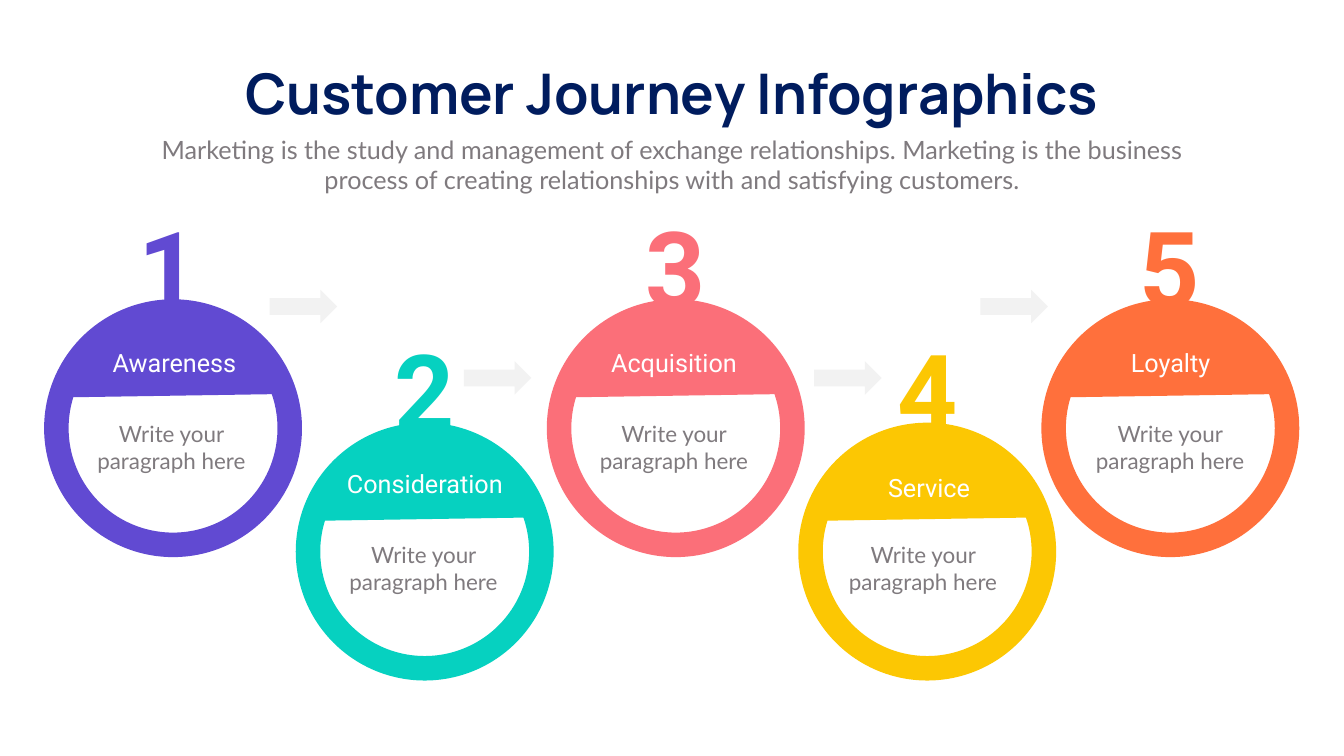
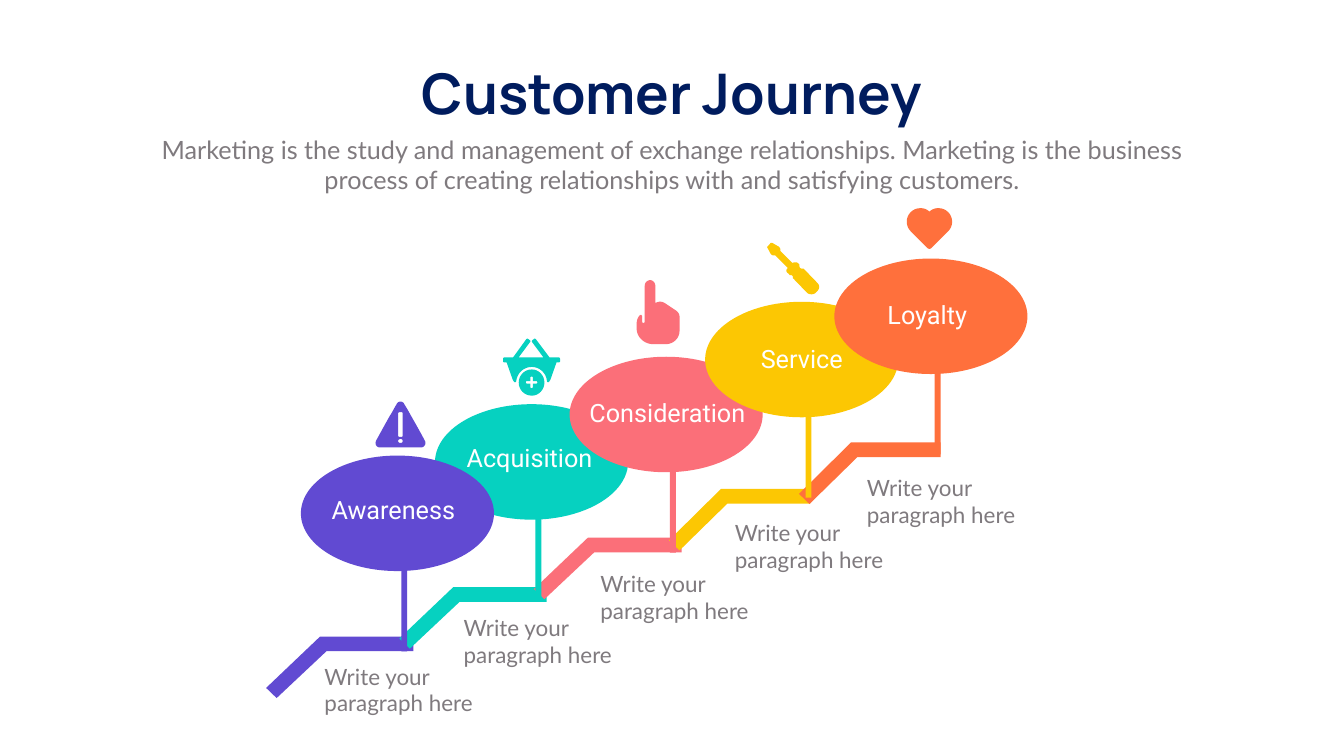
from dataclasses import dataclass
from itertools import chain

from pptx import Presentation
from pptx.dml.color import RGBColor
from pptx.enum.shapes import MSO_SHAPE
from pptx.enum.text import MSO_AUTO_SIZE, PP_ALIGN
from pptx.shapes.autoshape import Shape
from pptx.slide import Slide
from pptx.util import Cm, Pt

HUES = {
    "navy": "001C5E",
    "gray": "7F7A7E",
    "white": "FFFFFF",
    "pale": "F2F2F2",
    "violet": "614AD2",
    "teal": "06D1C0",
    "pink": "FB6F79",
    "yellow": "FCC703",
    "orange": "FF703C",
}
WIDTH, HEIGHT = 67.72, 38.1
LEAD = (
    "Marketing is the study and management of exchange relationships. "
    "Marketing is the business process of creating relationships with "
    "and satisfying customers."
)
NOTE = "Write your paragraph here"

Spot = tuple[float, float]


@dataclass
class Style:
    font: str
    size: int
    bold: bool = False
    align: PP_ALIGN = PP_ALIGN.CENTER


TITLE = Style("Manrope", 80, True)
DIGIT = Style("Roboto", 150, True)
LABEL = Style("Roboto", 36)
INTRO = Style("Lato", 36)
BODY = Style("Lato", 32)
ASIDE = Style("Lato", 32, align=PP_ALIGN.LEFT)


@dataclass
class Stage:
    name: str
    hue: str
    ring: Spot
    digit: float
    label: Spot
    span: float
    note: Spot


@dataclass
class Stop:
    name: str
    hue: str
    step: Spot
    width: float
    bend: float
    oval: Spot
    note: Spot
    label: Spot
    span: float
    icon: Spot
    art: tuple[str, ...]


STAGES = [
    Stage("Awareness", "violet", (2.84, 15.7), 6.65, (4.65, 17.37), 8.28, (4.65, 21.03)),
    Stage("Consideration", "teal", (15.52, 21.92), 19.56, (16.84, 23.5), 9.14, (17.35, 27.13)),
    Stage("Acquisition", "pink", (28.17, 15.7), 32.21, (29.39, 17.37), 9.14, (29.97, 21.03)),
    Stage("Service", "yellow", (40.84, 21.92), 44.88, (42.24, 23.7), 9.14, (42.52, 27.13)),
    Stage("Loyalty", "orange", (53.09, 15.7), 57.12, (54.41, 17.37), 9.14, (54.97, 21.03)),
]
ARROWS = [(13.59, 14.61), (23.37, 18.21), (41.02, 18.21), (49.4, 14.61)]

ALERT = (
    "98 78, 91 64 80 45 71 29, 66 20 61 11 57 5, 56 2 53 0 50 0, 46 0 43 2 42 5, "
    "38 11 34 20 28 29, 19 45 8 65 1 78, 1 79 0 81 0 82, 0 87 4 91 9 91, 90 91, "
    "95 91 99 87 99 82, 99 81 99 79 98 78; "
    "50 82, 47 82 45 81 45 78, 45 76 47 74 50 74, 52 74 54 76 54 78, 54 81 52 82 50 82; "
    "54 68, 54 69 53 70 52 70, 48 70, 46 70 45 69 45 68, 45 23, 45 22 46 21 48 21, "
    "52 21, 53 21 54 22 54 23"
)
BADGE = (
    "57 61, 42 61 31 73 31 87, 31 101 42 113 57 113, 71 113 82 101 82 87, "
    "82 73 71 61 57 61; "
    "66 89, 59 89, 59 96, 59 97 58 98 57 98, 55 98 54 97 54 96, 54 89, 47 89, "
    "46 89 45 88 45 87, 45 85 46 84 47 84, 54 84, 54 77, 54 76 55 75 57 75, "
    "58 75 59 76 59 77, 59 84, 66 84, 67 84 68 85 68 87, 68 88 67 89 66 89"
)
BASKET = (
    "110 37, 92 37, 65 1, 64 0 63 0 62 0, 58 3, 57 4 57 5 57 6, 80 37, 31 37, 54 6, "
    "55 5 54 4 53 3, 49 0, 48 0 47 0 46 1, 20 37, 3 37, 1 37 0 39 0 40, 0 45, "
    "0 46 1 47 3 47, 7 47, 19 81, 20 83 21 84 22 86, 25 86, 26 86 26 85 26 84, "
    "28 68 41 56 57 56, 72 56 86 68 87 84, 87 85 88 86 88 86, 91 86, "
    "92 84 93 83 94 81, 106 47, 110 47, 112 47 113 46 113 45, 113 40, "
    "113 39 112 37 110 37"
)
HAND = (
    "79 61, 55 45, 50 42 43 42 38 45, 37 46, 37 11, 37 5 32 0 27 0, 21 0 16 5 16 11, "
    "16 82, 16 84 15 85 13 85, 12 85 11 84 11 82, 11 72, 11 71 10 70 9 69, "
    "8 69 7 69 6 70, 2 74 0 80 0 86, 0 96, 0 105 4 113 11 119, 17 124 25 127 33 127, "
    "58 127, 73 127 85 115 85 101, 85 72, 85 68 82 63 79 61"
)
DRIVER = (
    "99 79, 72 51, 68 51, 66 51 64 49 64 47, 64 43, 61 40, 58 38 53 38 50 40, 26 16, "
    "26 13, 26 11 24 8 22 7, 10 0, 7 0, 1 7, 0 7 0 8 0 9, 7 22, 9 24 11 25 13 25, "
    "16 25, 41 50, 39 51 38 53 38 55, 38 57 39 59 41 60, 44 63, 44 64 45 64 46 64, "
    "47 64, 49 64 51 66 51 68, 51 69, 51 70 51 71 52 71, 79 99, 81 101 84 102 88 102, "
    "91 102 94 101 96 99, 99 96, 101 94 103 91 103 87, 103 84 101 81 99 79"
)
HEART = (
    "42 80, 43 80 44 81 45 81, 46 81 47 80 48 80, 82 46, 87 41 90 34 90 27, "
    "90 12 78 0 63 0, 56 0 50 2 45 7, 40 2 34 0 27 0, 12 0 0 12 0 27, 0 34 3 41 8 46"
)

STOPS = [
    Stop("Awareness", "violet", (13.41, 32.08), 7.42, 2.72, (15.16, 22.96),
         (16.1, 33.27), (15.54, 24.79), 8.56, (18.92, 20.24), (ALERT,)),
    Stop("Acquisition", "teal", (20.12, 29.59), 7.42, 2.72, (21.92, 20.37),
         (23.11, 30.84), (22.4, 22.15), 8.56, (25.35, 17.07), (BADGE, BASKET)),
    Stop("Consideration", "pink", (26.9, 27.1), 7.44, 2.72, (28.7, 17.98),
         (30.0, 28.6), (28.45, 19.91), 10.36, (32.08, 14.12), (HAND,)),
    Stop("Service", "yellow", (33.71, 24.64), 7.11, 2.62, (35.53, 15.21),
         (36.78, 26.06), (36.12, 17.2), 8.56, (38.66, 12.24), (DRIVER,)),
    Stop("Loyalty", "orange", (40.26, 22.3), 7.14, 2.62, (42.04, 13.03),
         (43.43, 23.77), (42.44, 14.96), 8.56, (45.69, 10.49), (HEART,)),
]


def tint(hue: str) -> RGBColor:
    return RGBColor.from_string(HUES[hue])


def paint(shape: Shape, hue: str) -> None:
    shape.shadow.inherit = False
    shape.fill.solid()
    shape.fill.fore_color.rgb = tint(hue)
    shape.line.fill.background()


def block(slide: Slide, kind: MSO_SHAPE, spot: Spot, size: Spot, hue: str) -> Shape:
    shape = slide.shapes.add_shape(kind, *map(Cm, spot + size))
    paint(shape, hue)
    return shape


def write(slide: Slide, text: str, spot: Spot, size: Spot, style: Style,
          hue: str, wrap: bool = True) -> None:
    frame = slide.shapes.add_textbox(*map(Cm, spot + size)).text_frame
    frame.word_wrap = wrap
    frame.auto_size = MSO_AUTO_SIZE.SHAPE_TO_FIT_TEXT
    line = frame.paragraphs[0]
    line.text = text
    line.alignment = style.align
    line.font.name = style.font
    line.font.size = Pt(style.size)
    line.font.bold = style.bold
    line.font.color.rgb = tint(hue)


def trace(slide: Slide, loops: list[list[Spot]], spot: Spot, unit: float, hue: str) -> None:
    loops = [[(x * 100, y * 100) for x, y in loop] for loop in loops]
    pen = slide.shapes.build_freeform(*loops[0][0], scale=Cm(unit) / 100)
    for loop in loops:
        if loop is not loops[0]:
            pen.move_to(*loop[0])
        pen.add_line_segments(loop[1:], close=True)
    paint(pen.convert_to_shape(*map(Cm, spot)), hue)


def curve(ends: list[Spot], count: int = 8) -> list[Spot]:
    points = []
    for index in range(1, count + 1):
        t = index / count
        parts = ((1 - t) ** 3, 3 * t * (1 - t) ** 2, 3 * t * t * (1 - t), t ** 3)
        points.append(tuple(sum(p * end[axis] for p, end in zip(parts, ends))
                            for axis in (0, 1)))
    return points


def decode(art: str) -> list[list[Spot]]:
    loops = []
    for outline in art.split(";"):
        loop = []
        for piece in outline.split(","):
            nums = [float(num) for num in piece.split()]
            ends = list(zip(nums[::2], nums[1::2]))
            loop += curve([loop[-1], *ends]) if len(ends) == 3 else ends
        loops.append(loop)
    return loops


def start(deck: Presentation, title: str, width: float) -> Slide:
    slide = deck.slides.add_slide(deck.slide_layouts[6])
    write(slide, title, ((WIDTH - width) / 2, 2.84), (width, 3.68), TITLE, "navy", False)
    write(slide, LEAD, (7.42, 6.63), (52.88, 3.33), INTRO, "gray")
    return slide


def draw_stage(slide: Slide, rank: int, stage: Stage) -> None:
    left, top = stage.ring
    ring = block(slide, MSO_SHAPE.OVAL, stage.ring, (11.76, 11.76), "white")
    ring.line.color.rgb = tint(stage.hue)
    ring.line.width = Pt(35)
    cap = block(slide, MSO_SHAPE.CHORD, (left + 0.34, top - 0.58), (11.1, 11.1), stage.hue)
    cap.adjustments[0], cap.adjustments[1] = 44.37, 143.33
    cap.rotation = 112.7
    write(slide, str(rank), (stage.digit, top - 5.64), (3.68, 6.68), DIGIT, stage.hue)
    write(slide, stage.name, stage.label, (stage.span, 1.8), LABEL, "white")
    write(slide, NOTE, stage.note, (7.98, 3), BODY, "gray")


def draw_step(slide: Slide, stop: Stop) -> None:
    bend, width = stop.bend, stop.width
    loop = [(0.53, 3.1), (0, 2.59), (bend, 0), (width, 0), (width, 0.74), (bend + 0.32, 0.74)]
    trace(slide, [loop], stop.step, 1, stop.hue)


def draw_sign(slide: Slide, stop: Stop) -> None:
    left, top = stop.oval
    block(slide, MSO_SHAPE.OVAL, stop.oval, (9.73, 5.82), stop.hue)
    block(slide, MSO_SHAPE.RECTANGLE, (left + 5.06, top + 4.03), (0.3, 5.84), stop.hue)


def draw_text(slide: Slide, stop: Stop) -> None:
    write(slide, NOTE, stop.note, (9.73, 3), ASIDE, "gray")
    write(slide, stop.name, stop.label, (stop.span, 1.8), LABEL, "white")
    for art in stop.art:
        trace(slide, decode(art), stop.icon, 0.0254, stop.hue)


def main() -> None:
    deck = Presentation()
    deck.slide_width, deck.slide_height = Cm(WIDTH), Cm(HEIGHT)

    slide = start(deck, "Customer Journey Infographics", 47.17)
    for rank, stage in enumerate(STAGES, 1):
        draw_stage(slide, rank, stage)
    for spot in ARROWS:
        block(slide, MSO_SHAPE.RIGHT_ARROW, spot, (3.4, 1.68), "pale")

    slide = start(deck, "Customer Journey", 27.84)
    for stop in STOPS:
        draw_step(slide, stop)
    for stop in chain(STOPS[1:4], STOPS[::4]):
        draw_sign(slide, stop)
    for stop in STOPS:
        draw_text(slide, stop)

    deck.save("out.pptx")


if __name__ == "__main__":
    main()
